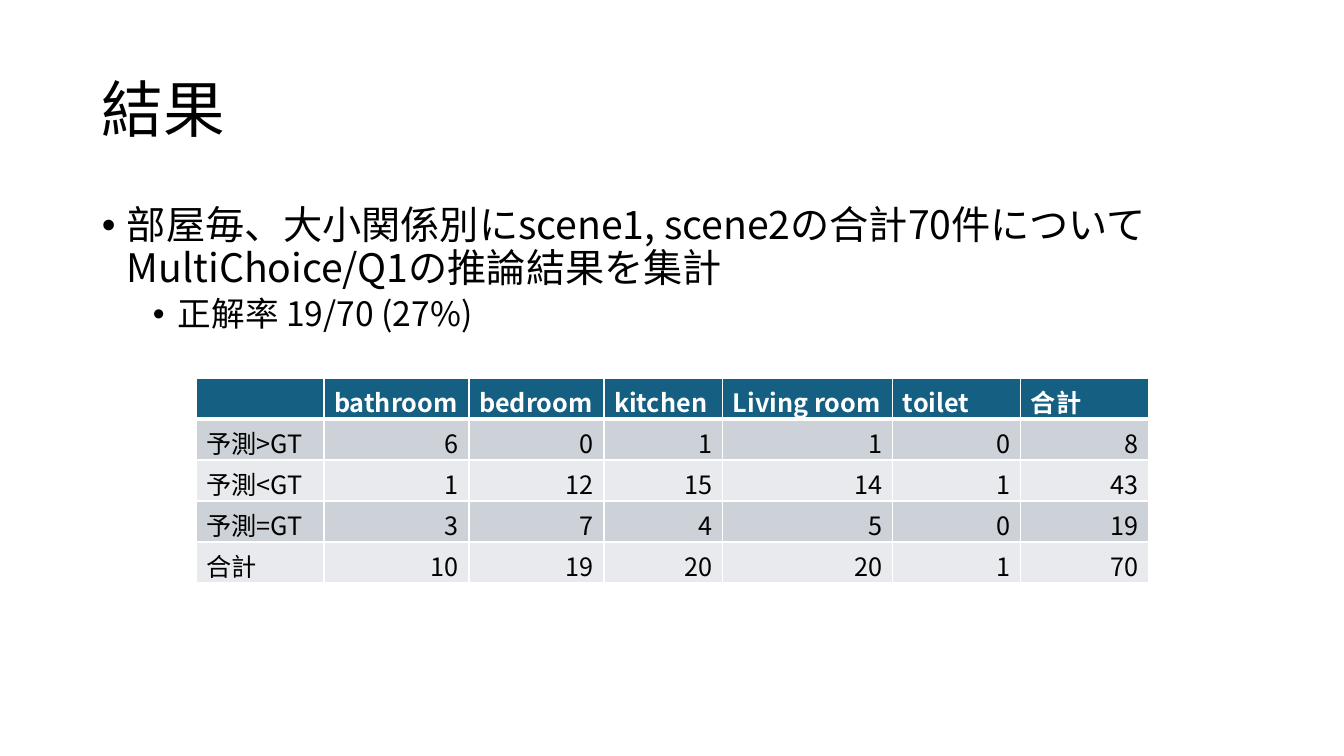
import pptx
import pptx.dml.color
import pptx.enum.text
import pptx.oxml
import pptx.oxml.ns
import pptx.util

THEME = {
    "font": "Noto Sans CJK JP",
    "text": "000000", "white": "FFFFFF", "header": "156082",
    "bands": ("CCD2D8", "E8EAED"),
    "title_size": 44, "body_size": 28, "detail_size": 24, "table_size": 18,
}
PX = 914400 / 100.8
NAMESPACE = pptx.oxml.ns.nsdecls("a")
ALIGN = pptx.enum.text.PP_ALIGN


def px(*lengths):
    return [pptx.util.Emu(round(length * PX)) for length in lengths]


def style(paragraph, size, color, bold=False):
    """Set the font for Latin and East Asian text; return its properties."""
    font = paragraph.font
    font.size = pptx.util.Pt(size)
    font.bold = bold
    font.color.rgb = pptx.dml.color.RGBColor.from_string(color)
    font.name = THEME["font"]
    properties = paragraph._p.pPr.find(pptx.oxml.ns.qn("a:defRPr"))
    properties.append(pptx.oxml.parse_xml(
        f'<a:ea {NAMESPACE} typeface="{THEME["font"]}"/>'))
    return properties


presentation = pptx.Presentation()
presentation.slide_width, presentation.slide_height = px(1344, 756)
slide = presentation.slides.add_slide(presentation.slide_layouts[6])

# Title
title_frame = slide.shapes.add_textbox(*px(92, 40, 1160, 146)).text_frame
title_frame.word_wrap = True
title_frame.vertical_anchor = pptx.enum.text.MSO_ANCHOR.MIDDLE
title = title_frame.paragraphs[0]
title.text = "結果"
title.line_spacing = 0.9
style(title, THEME["title_size"], THEME["text"])

# Bullets: text, level, size, space before, left margin
bullets = [
    ("部屋毎、大小関係別にscene1, scene2の合計70件についてMultiChoice/Q1の推論結果を集計",
     0, THEME["body_size"], 10, 25),
    ("正解率 19/70 (27%)", 1, THEME["detail_size"], 5, 76),
]
body_frame = slide.shapes.add_textbox(*px(92, 201, 1160, 480)).text_frame
body_frame.word_wrap = True
for index, (text, level, size, space, margin) in enumerate(bullets):
    paragraph = body_frame.add_paragraph() if index else body_frame.paragraphs[0]
    paragraph.text = text
    paragraph.level = level
    paragraph.line_spacing = 0.9
    paragraph.space_before = pptx.util.Pt(space)
    font_properties = style(paragraph, size, THEME["text"])
    left, indent = px(margin, -25)
    paragraph._p.pPr.set("marL", str(left))
    paragraph._p.pPr.set("indent", str(indent))
    for bullet in ('buFont {} typeface="Arial"', 'buChar {} char="•"'):
        font_properties.addprevious(
            pptx.oxml.parse_xml(f"<a:{bullet.format(NAMESPACE)}/>"))

# Results table
results = [
    ("", "bathroom", "bedroom", "kitchen", "Living room", "toilet", "合計"),
    ("予測>GT", 6, 0, 1, 1, 0, 8),
    ("予測<GT", 1, 12, 15, 14, 1, 43),
    ("予測=GT", 3, 7, 4, 5, 0, 19),
    ("合計", 10, 19, 20, 20, 1, 70),
]
column_widths = px(128, 145, 135, 119, 170, 128, 128)
row_height = 41
table = slide.shapes.add_table(
    len(results), len(column_widths),
    *px(196, 378, 953, row_height * len(results))).table
for column, width in zip(table.columns, column_widths):
    column.width = width

for row_index, values in enumerate(results):
    is_header = row_index == 0
    fill = THEME["header"] if is_header else THEME["bands"][(row_index - 1) % 2]
    color = THEME["white"] if is_header else THEME["text"]
    # Thin grid with a heavier rule under the header
    borders = {"L": 1, "R": 1, "T": 3 if row_index == 1 else 1,
               "B": 3 if is_header else 1}
    for column_index, value in enumerate(values):
        cell = table.cell(row_index, column_index)
        cell.text = str(value)
        paragraph = cell.text_frame.paragraphs[0]
        is_number = isinstance(value, int)
        paragraph.alignment = ALIGN.RIGHT if is_number else ALIGN.LEFT
        style(paragraph, THEME["table_size"], color, is_header)
        for side, points in borders.items():
            cell._tc.get_or_add_tcPr().append(pptx.oxml.parse_xml(
                f'<a:ln{side} {NAMESPACE} w="{pptx.util.Pt(points)}"><a:solidFill>'
                f'<a:srgbClr val="{THEME["white"]}"/></a:solidFill></a:ln{side}>'))
        cell.fill.solid()
        cell.fill.fore_color.rgb = pptx.dml.color.RGBColor.from_string(fill)
for row in table.rows:
    row.height = px(row_height)[0]

presentation.save("out.pptx")
